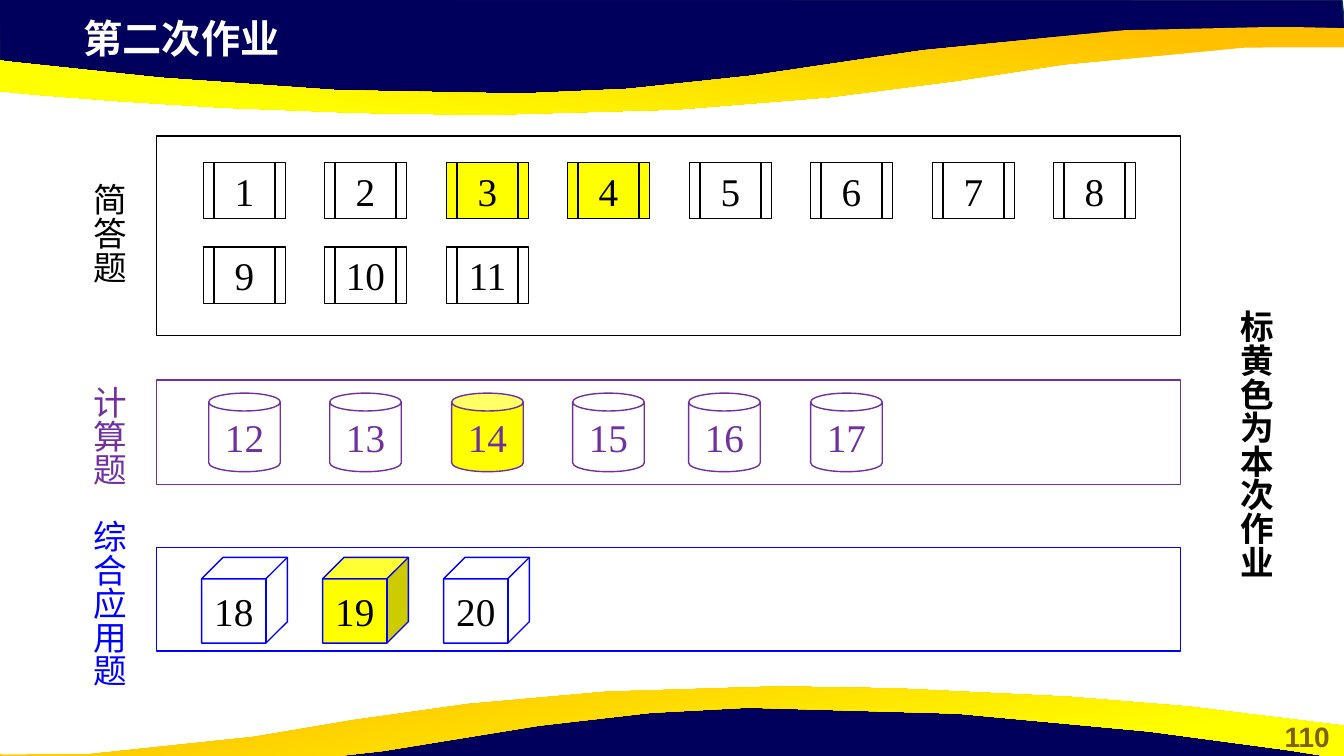
"""Build the homework overview slide with its wave decoration and question groups."""
import math
import pptx
import pptx.util
import pptx.dml.color
import pptx.enum.shapes
import pptx.enum.text
import pptx.oxml.ns
import lxml.etree

PX = 9144
WIDTH, HEIGHT = 1333, 750
COLORS = {
    "navy": "00005C", "navy_edge": "05304F", "orange": "FFC000", "yellow": "FFFF00",
    "black": "000000", "purple": "7030A0", "blue": "0000FF", "white": "FFFFFF",
    "olive": "806000",
}
CJK_FONT = "Noto Sans CJK SC"
SHAPES = pptx.enum.shapes.MSO_SHAPE
ALIGN = pptx.enum.text.PP_ALIGN
ANCHOR = pptx.enum.text.MSO_ANCHOR
AUTO_SIZE = pptx.enum.text.MSO_AUTO_SIZE

HOMEWORK = {3, 4, 14, 19}
COLUMN_PITCH = 120.43

TOP_NAVY = [(-1, -1), (0, 70), (293, 102), (559, 100), (795, 88), (1016, 50),
            (1238, 33), (1335, 38), (1331, 0)]
BOTTOM_NAVY = [(1333, 794), (1332, 724), (1040, 691), (773, 693), (538, 706),
               (317, 743), (95, 760), (-3, 756), (1, 793)]
TOP_BAND = [
    (483, 114), (443, 114, 401, 113, 356, 112), (206, 108, 110, 100, 36, 94),
    (-88, 84, -130, 75, -133, 75), (-133, 42), (-133, 42, 218, 98, 517, 93),
    (626, 91, 708, 83, 915, 50), (1121, 18, 1333, 28, 1333, 28), (1333, 47),
    (1330, 47), (1305, 46, 1195, 43, 1055, 64), (918, 85, 762, 113, 483, 114),
]
BOTTOM_BAND = [
    (772, 681), (809, 681, 847, 682, 888, 683), (1025, 687, 1112, 695, 1179, 701),
    (1292, 711, 1330, 720, 1333, 720), (1333, 753), (1333, 753, 1014, 697, 742, 702),
    (642, 705, 567, 712, 380, 745), (192, 778, -1, 768, -1, 768), (-1, 748),
    (2, 749), (25, 750, 125, 752, 252, 731), (376, 710, 519, 682, 772, 681),
]


def rgb(color):
    """Return the named colour."""
    return pptx.dml.color.RGBColor.from_string(COLORS[color])


def scaled(*lengths):
    """Convert px lengths to EMU."""
    return [length * PX for length in lengths]


def curve_points(segments, stride=160):
    """Flatten lines and cubic curves to a few points, by their length."""
    points = [segments[0]]
    for segment in segments[1:]:
        if len(segment) == 2:
            points.append(segment)
            continue
        x0, y0 = points[-1]
        x1, y1, x2, y2, x3, y3 = segment
        steps = math.ceil(math.dist((x0, y0), (x3, y3)) / stride)
        for step in range(1, steps + 1):
            t = step / steps
            a, b, c, d = (1 - t) ** 3, 3 * t * (1 - t) ** 2, 3 * t * t * (1 - t), t ** 3
            points.append((a * x0 + b * x1 + c * x2 + d * x3,
                           a * y0 + b * y1 + c * y2 + d * y3))
    return points


def add_outline(slide, points):
    """Draw a closed polygon without a shadow."""
    builder = slide.shapes.build_freeform(*scaled(*points[0]), scale=1)
    builder.add_line_segments([scaled(*point) for point in points[1:]], close=True)
    outline = builder.convert_to_shape()
    outline.shadow.inherit = False
    return outline


def add_navy(slide, points):
    """Draw a dark corner area."""
    navy = add_outline(slide, points)
    navy.fill.solid()
    navy.fill.fore_color.rgb = rgb("navy")
    navy.line.color.rgb = rgb("navy_edge")
    navy.line.width = pptx.util.Pt(1)


def add_band(slide, segments, angle):
    """Draw a golden wave with a gradient."""
    band = add_outline(slide, curve_points(segments))
    band.fill.gradient()
    band.fill.gradient_angle = angle
    stops = zip(band.fill.gradient_stops, ("orange", "yellow"), (0.11, 0.78))
    for stop, color, position in stops:
        stop.color.rgb = rgb(color)
        stop.position = position
    band.line.fill.background()


def write(frame, text, size, color, font=CJK_FONT, bold=False, align=ALIGN.LEFT):
    """Write one formatted paragraph into a text frame."""
    paragraph = frame.paragraphs[0]
    paragraph.alignment = align
    run = paragraph.add_run()
    run.text = text
    formats = {"size": pptx.util.Pt(size), "bold": bold, "name": font}
    for key, value in formats.items():
        setattr(run.font, key, value)
    run.font.color.rgb = rgb(color)
    east_asian = lxml.etree.SubElement(run.font._element, pptx.oxml.ns.qn("a:ea"))
    east_asian.set("typeface", CJK_FONT)


def add_title(slide, text):
    """Fill and place the title placeholder in front of the waves."""
    title = slide.shapes.title
    title.element.getparent().append(title.element)
    place = dict(zip(("left", "top", "width", "height"), scaled(73, 9, 768, 57)))
    for key, value in place.items():
        setattr(title, key, value)
    title.text_frame.auto_size = AUTO_SIZE.NONE
    title.text_frame.vertical_anchor = ANCHOR.TOP
    write(title.text_frame, text, 28, "white", "Arial", True)


def add_page_number(slide, text):
    """Write the page number in the lower right corner."""
    number = slide.shapes.add_textbox(*scaled(1260, 709, 73, 44))
    number.text_frame.word_wrap = True
    write(number.text_frame, text, 20, "olive", "Arial", True, ALIGN.CENTER)


def add_vertical_label(slide, text, place, color, bold=False):
    """Write a label that runs from top to bottom."""
    label = slide.shapes.add_textbox(*scaled(*place))
    label.element.txBody.bodyPr.set("vert", "eaVert")
    label.text_frame.word_wrap = False
    label.text_frame.auto_size = AUTO_SIZE.SHAPE_TO_FIT_TEXT
    write(label.text_frame, text, 24, color, bold=bold)


def add_outlined(slide, kind, place, color, fill=None):
    """Draw a preset shape with a thin outline and an optional fill."""
    outlined = slide.shapes.add_shape(kind, *scaled(*place))
    outlined.shadow.inherit = False
    if fill:
        outlined.fill.solid()
        outlined.fill.fore_color.rgb = rgb(fill)
    else:
        outlined.fill.background()
    outlined.line.color.rgb = rgb(color)
    outlined.line.width = pptx.util.Pt(1)
    return outlined


def add_question(slide, number, kind, place, color, text_color):
    """Draw a numbered question, yellow when it is homework."""
    fill = "yellow" if number in HOMEWORK else None
    question = add_outlined(slide, kind, place, color, fill)
    frame = question.text_frame
    formats = {"margin_left": 0, "margin_right": 0, "margin_top": 0,
               "margin_bottom": 0, "vertical_anchor": ANCHOR.MIDDLE}
    for key, value in formats.items():
        setattr(frame, key, value)
    write(frame, str(number), 28, text_color, "Times New Roman", align=ALIGN.CENTER)


def main():
    """Build and save the slide."""
    deck = pptx.Presentation()
    deck.slide_width, deck.slide_height = scaled(WIDTH, HEIGHT)
    slide = deck.slides.add_slide(deck.slide_layouts[5])
    add_navy(slide, TOP_NAVY)
    add_band(slide, TOP_BAND, 260)
    add_navy(slide, BOTTOM_NAVY)
    add_band(slide, BOTTOM_BAND, 280)
    add_page_number(slide, "110")
    add_title(slide, "第二次作业")

    groups = [
        ("简答题", (72, 172, 61, 111), (155, 135, 1016, 198), "black"),
        ("计算题", (72, 373, 61, 111), (155, 377, 1016, 104), "purple"),
        ("综合应用题", (72, 506, 61, 178), (155, 543, 1016, 103), "blue"),
    ]
    for name, label_place, frame_place, color in groups:
        add_outlined(slide, SHAPES.RECTANGLE, frame_place, color)
        add_vertical_label(slide, name, label_place, color)
    add_vertical_label(slide, "标黄色为本次作业", (1210, 298, 61, 279), "black", True)

    for index in range(11):
        row, column = divmod(index, 8)
        place = (202 + round(column * COLUMN_PITCH), 161 + 84 * row, 81, 56)
        add_question(slide, index + 1, SHAPES.FLOWCHART_PREDEFINED_PROCESS, place,
                     "black", "black")
    for column in range(6):
        left = 207 if column < 4 else 202
        place = (left + math.floor(column * COLUMN_PITCH + 0.2), 390, 71, 78)
        add_question(slide, column + 12, SHAPES.CAN, place, "purple", "purple")
    for column in range(3):
        place = (200 + 120 * column, 553, 85, 85)
        add_question(slide, column + 18, SHAPES.CUBE, place, "blue", "black")
    deck.save("out.pptx")


if __name__ == "__main__":
    main()
